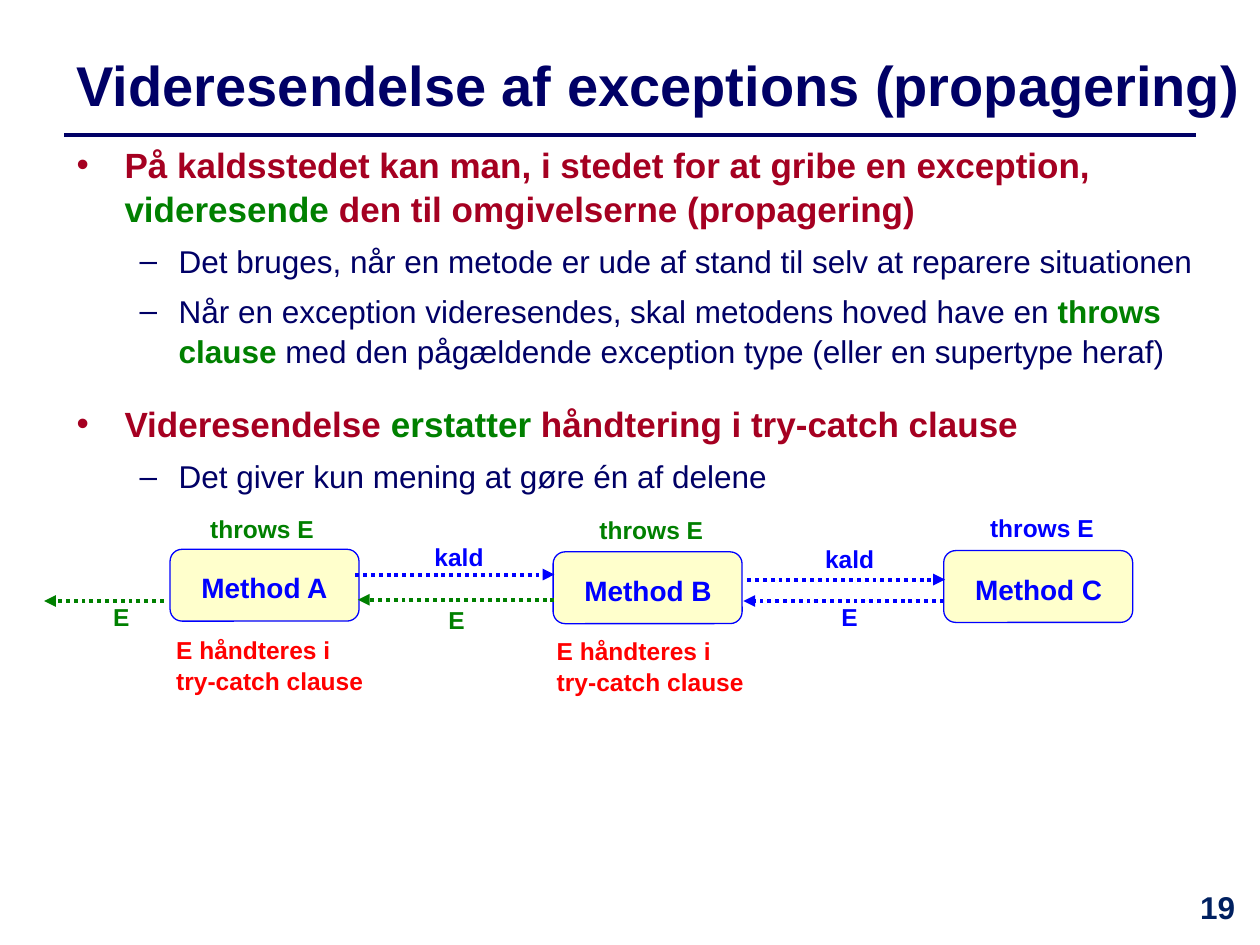
from typing import NamedTuple

from lxml.etree import SubElement
from pptx import Presentation
from pptx.dml.color import RGBColor
from pptx.enum.dml import MSO_LINE
from pptx.enum.shapes import MSO_CONNECTOR, MSO_SHAPE
from pptx.enum.text import MSO_ANCHOR, MSO_AUTO_SIZE, PP_ALIGN
from pptx.oxml.ns import qn
from pptx.util import Inches, Pt

FONT = "Arial"
NAVY = RGBColor(0x00, 0x00, 0x66)
NUMBER_BLUE = RGBColor(0x00, 0x20, 0x60)
CRIMSON = RGBColor(0xA5, 0x00, 0x21)
GREEN = RGBColor(0x00, 0x80, 0x00)
BLUE = RGBColor(0x00, 0x00, 0xFF)
RED = RGBColor(0xFF, 0x00, 0x00)
CREAM = RGBColor(0xFF, 0xFF, 0xCC)
LINE_SPACING = 1.05
METHOD_SIZE = (1.5, 0.57)


class Level(NamedTuple):
    bullet: str
    margin: float
    hanging: float
    size: int
    color: RGBColor
    bold: bool


class Point(NamedTuple):
    """Text in which every second phrase is highlighted in bold green."""
    level: Level
    space_before: int
    phrases: tuple[str, ...]


class Label(NamedTuple):
    text: str
    left: float
    top: float
    width: float
    height: float
    color: RGBColor
    size: int = 14


class Method(NamedTuple):
    name: str
    left: float
    top: float


class Arrow(NamedTuple):
    start: float
    end: float
    y: float
    color: RGBColor


MAIN = Level("•", 0.38, 0.38, 20, CRIMSON, True)
SUB = Level("–", 0.81, 0.31, 18, NAVY, False)

POINTS = (
    Point(MAIN, 0, ("På kaldsstedet kan man, i stedet for at gribe en exception, ",
                    "videresende", " den til omgivelserne (propagering)")),
    Point(SUB, 6, ("Det bruges, når en metode er ude af stand til selv "
                   "at reparere situationen",)),
    Point(SUB, 6, ("Når en exception videresendes, skal metodens hoved have en ",
                   "throws clause",
                   " med den pågældende exception type (eller en supertype heraf)")),
    Point(MAIN, 18, ("Videresendelse ", "erstatter",
                     " håndtering i try-catch clause")),
    Point(SUB, 6, ("Det giver kun mening at gøre én af delene",)),
)

METHODS = (
    Method("Method A", 1.35, 4.36),
    Method("Method B", 4.39, 4.38),
    Method("Method C", 7.49, 4.37),
)

ARROWS = (
    Arrow(2.82, 4.4, 4.56, BLUE),
    Arrow(5.93, 7.5, 4.6, BLUE),
    Arrow(7.49, 5.9, 4.77, BLUE),
    Arrow(4.4, 2.84, 4.76, GREEN),
    Arrow(1.3, 0.35, 4.77, GREEN),
)

HANDLED = "E håndteres i try-catch clause"
LABELS = (
    Label("throws E", 1.57, 4.02, 1.23, 0.34, GREEN),
    Label("throws E", 4.66, 4.03, 1.23, 0.34, GREEN),
    Label("throws E", 7.76, 4.01, 1.23, 0.34, BLUE),
    Label("kald", 3.35, 4.24, 0.63, 0.34, BLUE),
    Label("kald", 6.45, 4.26, 0.63, 0.34, BLUE),
    Label("E", 0.8, 4.72, 0.31, 0.34, GREEN),
    Label("E", 3.46, 4.74, 0.31, 0.34, GREEN),
    Label("E", 6.58, 4.72, 0.36, 0.34, BLUE),
    Label(HANDLED, 1.3, 4.98, 1.72, 0.57, RED),
    Label(HANDLED, 4.32, 4.99, 1.72, 0.57, RED),
)


def add_frame(slide, left: float, top: float, width: float, height: float):
    frame = slide.shapes.add_textbox(
        Inches(left), Inches(top), Inches(width), Inches(height)).text_frame
    frame.word_wrap = True
    return frame


def style(font, size: int, color: RGBColor, bold: bool = True) -> None:
    font.name = FONT
    font.size = Pt(size)
    font.bold = bold
    font.color.rgb = color


def add_label(slide, label: Label) -> None:
    frame = add_frame(slide, label.left, label.top, label.width, label.height)
    frame.auto_size = MSO_AUTO_SIZE.SHAPE_TO_FIT_TEXT
    paragraph = frame.paragraphs[0]
    paragraph.text = label.text
    paragraph.line_spacing = LINE_SPACING
    style(paragraph.font, label.size, label.color)


def add_line(slide, start: float, end: float, y: float, color: RGBColor, width: float):
    line = slide.shapes.add_connector(
        MSO_CONNECTOR.STRAIGHT, Inches(start), Inches(y), Inches(end), Inches(y))
    line.line.color.rgb = color
    line.line.width = Pt(width)
    SubElement(line._element.spPr, qn("a:effectLst"))
    return line


def add_arrow(slide, arrow: Arrow) -> None:
    line = add_line(slide, arrow.start, arrow.end, arrow.y, arrow.color, 2.25).line
    line.dash_style = MSO_LINE.ROUND_DOT
    SubElement(line._get_or_add_ln(), qn("a:tailEnd"), type="triangle")


def add_method(slide, method: Method) -> None:
    width, height = METHOD_SIZE
    box = slide.shapes.add_shape(
        MSO_SHAPE.ROUNDED_RECTANGLE, Inches(method.left), Inches(method.top),
        Inches(width), Inches(height))
    box.shadow.inherit = False
    box.fill.solid()
    box.fill.fore_color.rgb = CREAM
    box.line.color.rgb = BLUE
    box.line.width = Pt(0.75)
    add_label(slide, Label(method.name, method.left + 0.15, method.top + 0.11,
                           1.42, 0.37, BLUE, 16))


def add_point(paragraph, point: Point) -> None:
    level = point.level
    properties = paragraph._p.get_or_add_pPr()
    properties.set("marL", str(Inches(level.margin)))
    properties.set("indent", str(-Inches(level.hanging)))
    SubElement(properties, qn("a:buFont"), typeface=FONT)
    SubElement(properties, qn("a:buChar"), char=level.bullet)
    paragraph.line_spacing = LINE_SPACING
    paragraph.space_before = Pt(point.space_before)
    style(paragraph.font, level.size, level.color, level.bold)
    for index, phrase in enumerate(point.phrases):
        run = paragraph.add_run()
        run.text = phrase
        if index % 2:
            run.font.bold = True
            run.font.color.rgb = GREEN


def main() -> None:
    presentation = Presentation()
    presentation.slide_width = Inches(10)
    presentation.slide_height = Inches(7.5)
    slide = presentation.slides.add_slide(presentation.slide_layouts[6])

    add_line(slide, 0.51, 9.49, 1.07, NAVY, 2)
    title = add_frame(slide, 0.51, 0.29, 9.49, 0.75)
    title.vertical_anchor = MSO_ANCHOR.MIDDLE
    title.text = "Videresendelse af exceptions (propagering)"
    style(title.paragraphs[0].font, 32, NAVY)

    body = add_frame(slide, 0.51, 1.07, 9.29, 3.01)
    for index, point in enumerate(POINTS):
        add_point(body.add_paragraph() if index else body.paragraphs[0], point)

    number = add_frame(slide, 9.33, 7, 0.67, 0.5)
    number.text = "19"
    number.paragraphs[0].alignment = PP_ALIGN.CENTER
    style(number.paragraphs[0].font, 18, NUMBER_BLUE)

    for method in METHODS:
        add_method(slide, method)
    for arrow in ARROWS:
        add_arrow(slide, arrow)
    for label in LABELS:
        add_label(slide, label)

    presentation.save("out.pptx")


if __name__ == "__main__":
    main()
